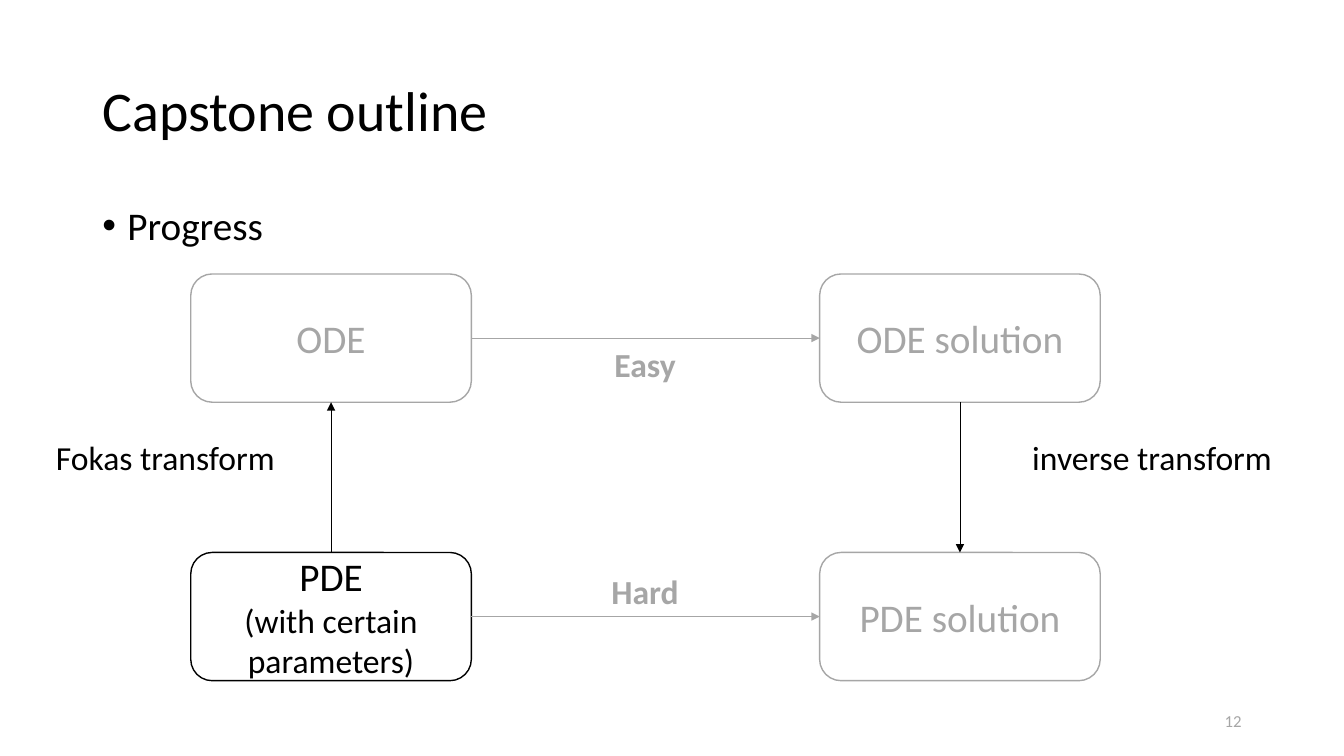
import dataclasses

import pptx
import pptx.dml.color
import pptx.enum.shapes
import pptx.enum.text
import pptx.oxml.ns
import pptx.oxml.xmlchemy
import pptx.util

Pt = pptx.util.Pt
Color = pptx.dml.color.RGBColor
Align = pptx.enum.text.PP_ALIGN
Anchor = pptx.enum.text.MSO_ANCHOR
Shape = pptx.enum.shapes.MSO_SHAPE
make = pptx.oxml.xmlchemy.OxmlElement

BLACK = Color(0x00, 0x00, 0x00)
GRAY = Color(0xA6, 0xA6, 0xA6)
WHITE = Color(0xFF, 0xFF, 0xFF)
FONT = "Calibri"

# Grid of the diagram, in points
COLS = (136.3, 585.5)
ROWS = (195.7, 394.6)
BOX_W, BOX_H = 200.4, 91.6
TOP, LEFT, BOTTOM, RIGHT = range(4)


@dataclasses.dataclass
class Line:
    text: str
    size: float
    color: Color = BLACK
    bold: bool = False


@dataclasses.dataclass
class Node:
    key: str
    col: int
    row: int
    color: Color
    lines: list[Line]


@dataclasses.dataclass
class Link:
    start: str
    out: int
    end: str
    into: int
    color: Color


@dataclasses.dataclass
class Label:
    x: float
    y: float
    w: float
    h: float
    line: Line
    align: Align = Align.CENTER
    anchor: Anchor = Anchor.TOP


NODES = [
    Node("pde", 0, 1, BLACK, [Line("PDE", 28), Line("(with certain parameters)", 24)]),
    Node("ode", 0, 0, GRAY, [Line("ODE", 28, GRAY)]),
    Node("pde end", 1, 1, GRAY, [Line("PDE solution", 28, GRAY)]),
    Node("ode end", 1, 0, GRAY, [Line("ODE solution", 28, GRAY)]),
]
LINKS = [
    Link("pde", TOP, "ode", BOTTOM, BLACK),
    Link("ode", RIGHT, "ode end", LEFT, GRAY),
    Link("ode end", BOTTOM, "pde end", TOP, BLACK),
    Link("pde", RIGHT, "pde end", LEFT, GRAY),
]
LABELS = [
    Label(707, 308.9, 231.8, 36.4, Line("inverse transform", 24)),
    Label(344.9, 241.9, 231.8, 36.4, Line("Easy", 24, GRAY, True)),
    Label(344.9, 403.9, 231.8, 36.4, Line("Hard", 24, GRAY, True)),
    Label(2.2, 308.9, 231.8, 36.4, Line("Fokas transform", 24)),
    Label(678, 500.5, 216, 28.8, Line("12", 12, GRAY), Align.RIGHT, Anchor.MIDDLE),
]


def write(para, line: Line, align: Align) -> None:
    para.alignment = align
    run = para.add_run()
    run.text = line.text
    font = run.font
    font.name, font.size, font.bold = FONT, Pt(line.size), line.bold
    font.color.rgb = line.color


def add_node(slide, node: Node):
    box = slide.shapes.add_shape(
        Shape.ROUNDED_RECTANGLE,
        Pt(COLS[node.col]), Pt(ROWS[node.row]), Pt(BOX_W), Pt(BOX_H))
    box.shadow.inherit = False
    box.fill.solid()
    box.fill.fore_color.rgb = WHITE
    box.line.color.rgb = node.color
    box.line.width = Pt(1)
    frame = box.text_frame
    frame.word_wrap = True
    frame.vertical_anchor = Anchor.MIDDLE
    for i, line in enumerate(node.lines):
        para = frame.add_paragraph() if i else frame.paragraphs[0]
        write(para, line, Align.CENTER)
    return box


def add_link(slide, link: Link, boxes: dict) -> None:
    wire = slide.shapes.add_connector(
        pptx.enum.shapes.MSO_CONNECTOR.STRAIGHT, 0, 0, 0, 0)
    wire.begin_connect(boxes[link.start], link.out)
    wire.end_connect(boxes[link.end], link.into)
    wire.line.color.rgb = link.color
    wire.line.width = Pt(0.5)
    tip = make("a:tailEnd")
    tip.set("type", "triangle")
    props = wire._element.spPr
    props.find(pptx.oxml.ns.qn("a:ln")).append(tip)
    props.append(make("a:effectLst"))


def add_label(slide, label: Label):
    box = slide.shapes.add_textbox(
        Pt(label.x), Pt(label.y), Pt(label.w), Pt(label.h))
    frame = box.text_frame
    frame.word_wrap = True
    frame.vertical_anchor = label.anchor
    write(frame.paragraphs[0], label.line, label.align)
    return box


def add_bullet(para) -> None:
    props = para._p.get_or_add_pPr()
    props.set("marL", str(Pt(18)))
    props.set("indent", str(Pt(-18)))
    face = make("a:buFont")
    face.set("typeface", "Arial")
    mark = make("a:buChar")
    mark.set("char", "•")
    props.extend([face, mark])
    para.line_spacing = 0.9


def main() -> None:
    deck = pptx.Presentation()
    deck.slide_width, deck.slide_height = Pt(960), Pt(540)
    slide = deck.slides.add_slide(deck.slide_layouts[5])

    # Title
    title = slide.shapes.title
    title.left, title.top = Pt(66), Pt(28.8)
    title.width, title.height = Pt(828), Pt(104.4)
    frame = title.text_frame
    frame.auto_size = pptx.enum.text.MSO_AUTO_SIZE.NONE
    frame.vertical_anchor = Anchor.MIDDLE
    frame.paragraphs[0].line_spacing = 0.9
    write(frame.paragraphs[0], Line("Capstone outline", 40), Align.LEFT)

    # Bullet
    body = add_label(slide, Label(66, 143.8, 828, 342.6, Line("Progress", 28), Align.LEFT))
    add_bullet(body.text_frame.paragraphs[0])

    # Diagram
    boxes = {node.key: add_node(slide, node) for node in NODES}
    for link in LINKS:
        add_link(slide, link, boxes)

    # Labels and page number
    for label in LABELS:
        add_label(slide, label)

    deck.save("out.pptx")


if __name__ == "__main__":
    main()
